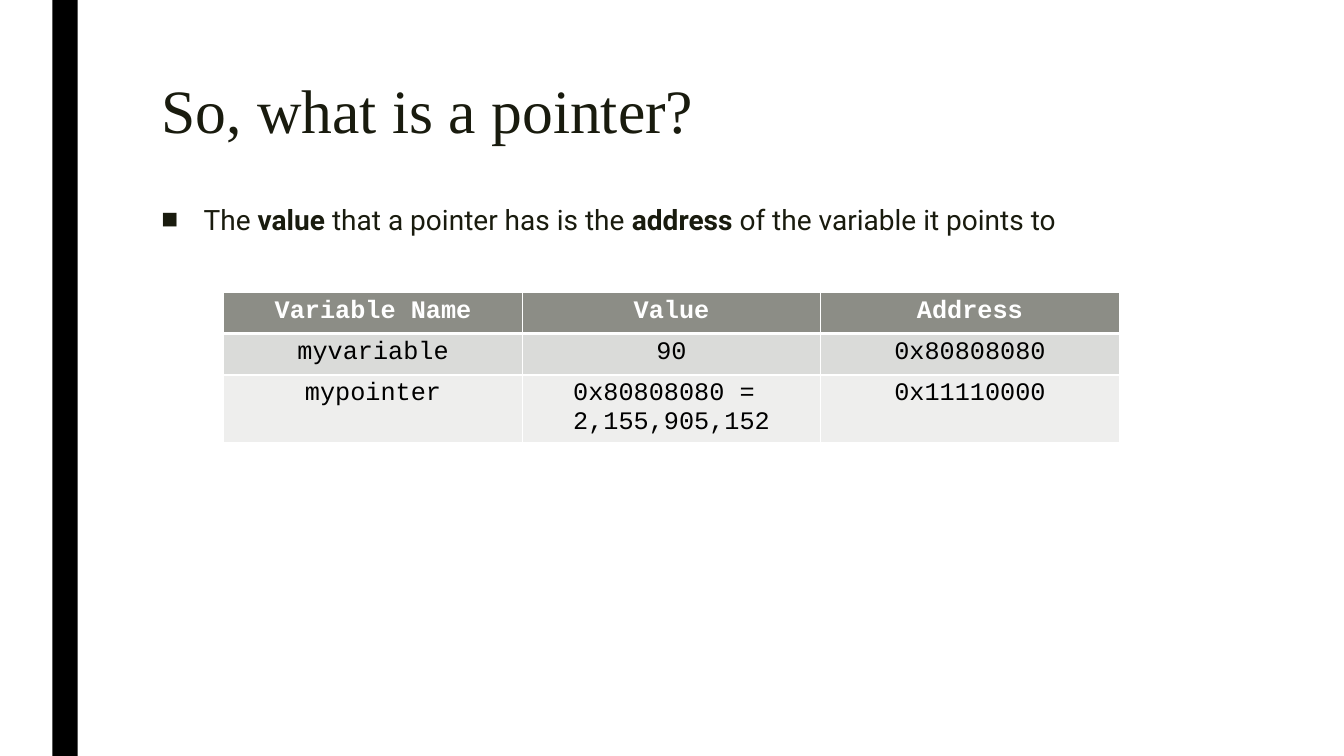
from lxml.etree import SubElement
from pptx import Presentation
from pptx.dml.color import RGBColor
from pptx.enum.shapes import MSO_SHAPE as Shape
from pptx.enum.text import MSO_ANCHOR as Anchor, MSO_AUTO_SIZE as AutoSize, PP_ALIGN as Align
from pptx.oxml import parse_xml
from pptx.oxml.ns import nsdecls, qn
from pptx.util import Inches, Pt

TITLE = "So, what is a pointer?"
STATEMENT = [
    ("The ", False),
    ("value ", True),
    ("that a pointer has is the ", False),
    ("address", True),
    (" of the variable it points to", False),
]
ROWS = [
    ["Variable Name", "Value", "Address"],
    ["myvariable", "90", "0x80808080"],
    ["mypointer", "0x80808080 = \n2,155,905,152", "0x11110000"],
]
ROW_FILLS = ["8C8D86", "DADBD9", "EEEEED"]
INK, WHITE, BLACK = "191B0E", "FFFFFF", "000000"
COLUMN_WIDTH, ROW_HEIGHT = 2.96, 0.41


def color(value):
    return RGBColor.from_string(value)


def add_text(para, text, font, size, ink, bold=False):
    span = para.add_run()
    span.text = text
    span.font.name = font
    span.font.size = Pt(size)
    span.font.bold = bold
    span.font.color.rgb = color(ink)


def place(box, left, top, width, height):
    box.left, box.top = Inches(left), Inches(top)
    box.width, box.height = Inches(width), Inches(height)
    frame = box.text_frame
    frame.word_wrap = True
    frame.auto_size = AutoSize.NONE
    frame.vertical_anchor = Anchor.TOP
    return frame.paragraphs[0]


def add_bullet(para, symbol, indent):
    properties = para._p.get_or_add_pPr()
    properties.set("marL", str(Inches(indent)))
    properties.set("indent", str(-Inches(indent)))
    SubElement(properties, qn("a:buFont"), typeface="Arial")
    SubElement(properties, qn("a:buChar"), char=symbol)


def add_borders(cell, top, bottom):
    properties = cell._tc.get_or_add_tcPr()
    widths = {"lnL": 1, "lnR": 1, "lnT": top, "lnB": bottom}
    for index, (side, width) in enumerate(widths.items()):
        properties.insert(index, parse_xml(
            f'<a:{side} {nsdecls("a")} w="{Pt(width)}"><a:solidFill>'
            f'<a:srgbClr val="{WHITE}"/></a:solidFill></a:{side}>'))


def add_variables(page):
    table = page.shapes.add_table(
        len(ROWS), len(ROWS[0]), Inches(2.22), Inches(2.9),
        Inches(COLUMN_WIDTH * len(ROWS[0])), Inches(ROW_HEIGHT * len(ROWS))).table
    for column in table.columns:
        column.width = Inches(COLUMN_WIDTH)
    for row, texts in enumerate(ROWS):
        table.rows[row].height = Inches(ROW_HEIGHT)
        header = row == 0
        for column, text in enumerate(texts):
            cell = table.cell(row, column)
            cell.fill.solid()
            cell.fill.fore_color.rgb = color(ROW_FILLS[row])
            add_borders(cell, top=3 if row == 1 else 1, bottom=3 if header else 1)
            for index, line in enumerate(text.split("\n")):
                frame = cell.text_frame
                para = frame.add_paragraph() if index else frame.paragraphs[0]
                para.alignment = Align.CENTER
                add_text(para, line, font="Courier New", size=18,
                         ink=WHITE if header else BLACK, bold=header)


def main():
    deck = Presentation()
    deck.slide_width, deck.slide_height = Inches(13.33), Inches(7.5)
    page = deck.slides.add_slide(deck.slide_layouts[1])

    stripe = page.shapes.add_shape(Shape.RECTANGLE, Inches(0.52), 0, Inches(0.25), Inches(7.5))
    stripe.shadow.inherit = False
    stripe.fill.solid()
    stripe.fill.fore_color.rgb = color(BLACK)
    stripe.line.fill.background()

    heading = place(page.shapes.title, 1.5, 0.75, 10.5, 1.62)
    heading.alignment = Align.LEFT
    heading.line_spacing = 0.89
    add_text(heading, TITLE, font="Times New Roman", size=44, ink=INK)

    statement = place(page.placeholders[1], 1.5, 1.79, 10.5, 5.25)
    statement.line_spacing = 1.5
    statement.space_before, statement.space_after = Pt(10), Pt(2)
    add_bullet(statement, "■", 0.42)
    for text, bold in STATEMENT:
        add_text(statement, text, font="Roboto", size=20, ink=INK, bold=bold)

    add_variables(page)
    deck.save("out.pptx")


if __name__ == "__main__":
    main()
